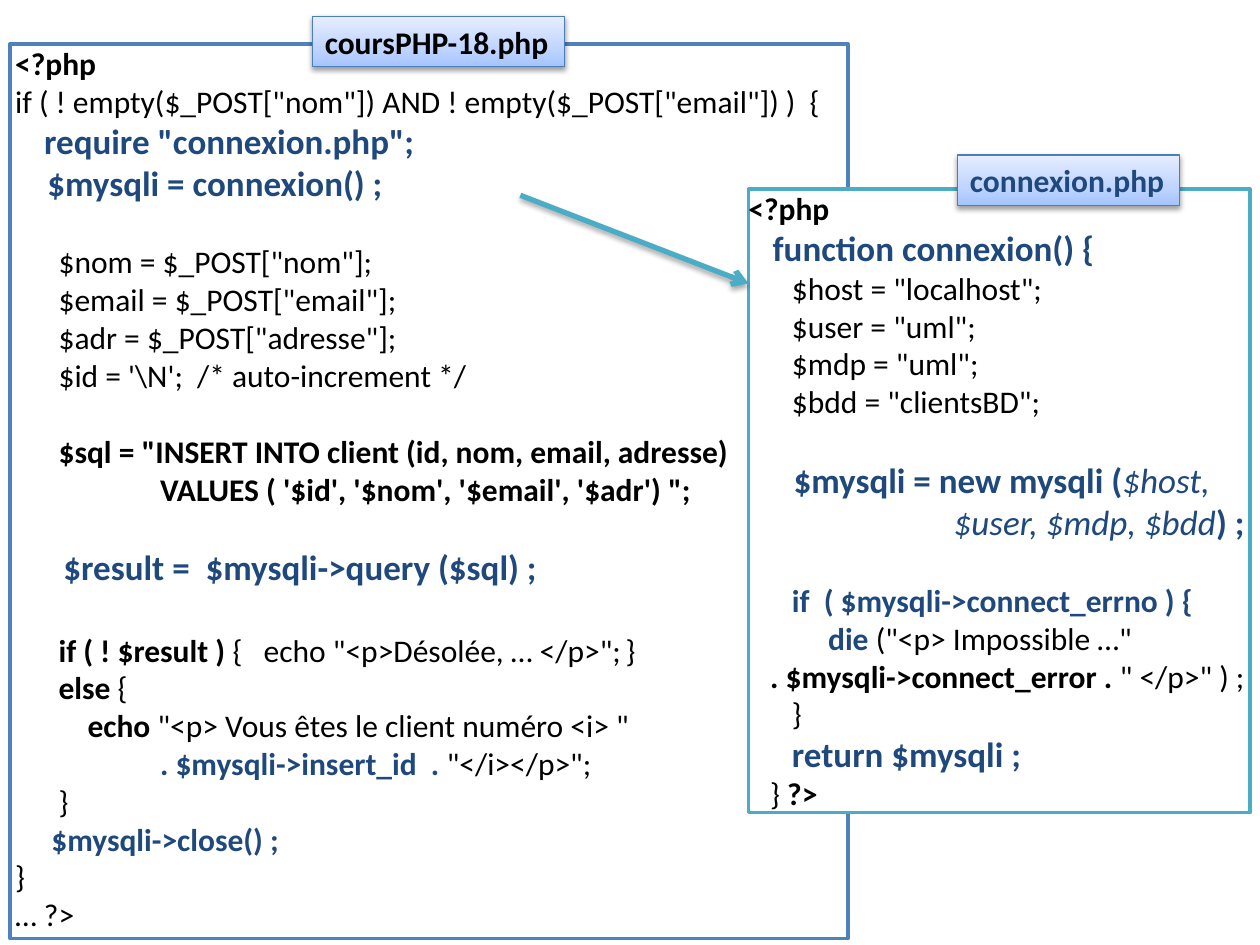
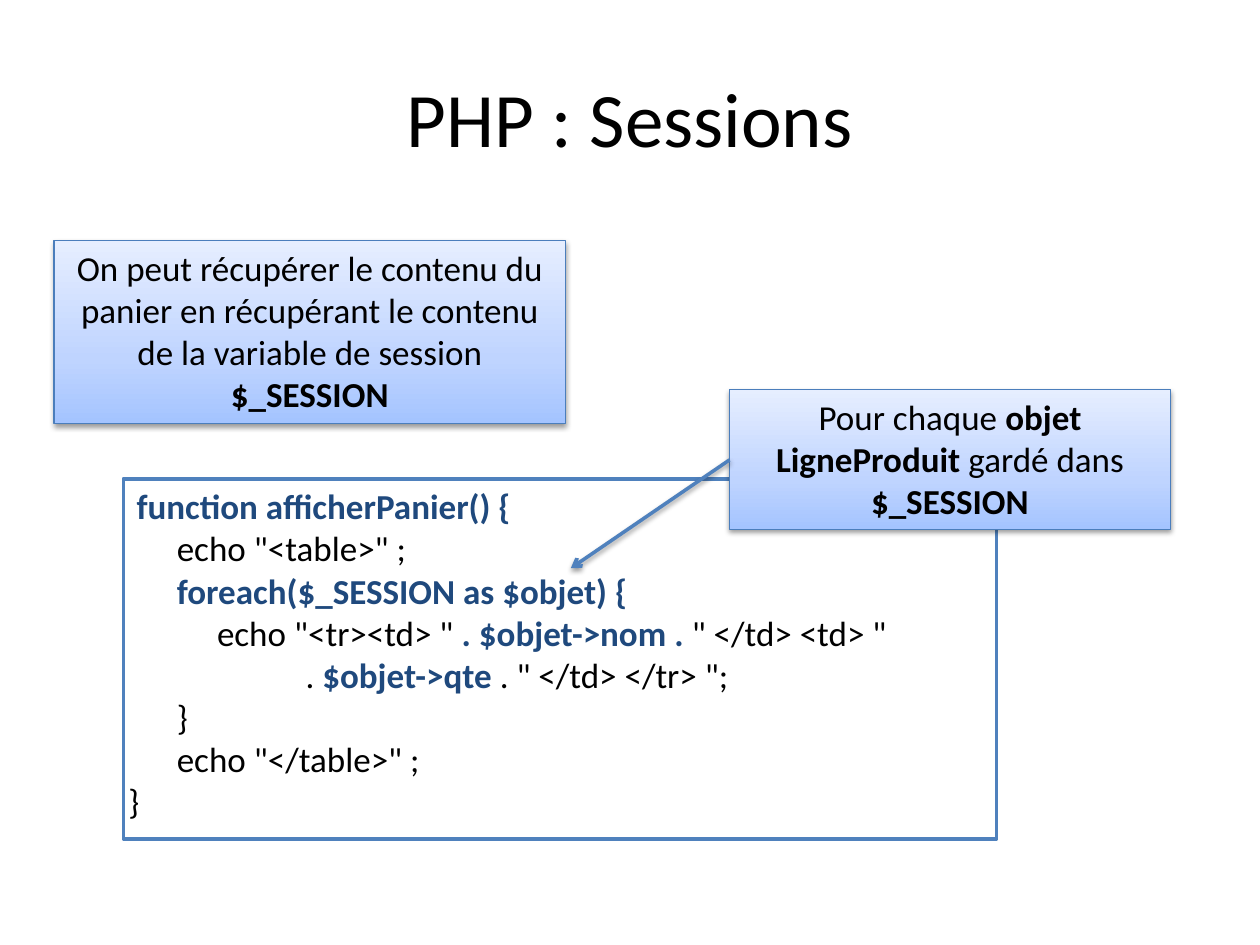
from copy import deepcopy
from dataclasses import dataclass

from lxml.etree import SubElement
from pptx import Presentation
from pptx.dml.color import RGBColor
from pptx.enum.shapes import MSO_CONNECTOR as Connector, MSO_SHAPE as Shape
from pptx.enum.text import MSO_ANCHOR as Anchor, PP_ALIGN as Align
from pptx.oxml.ns import qn
from pptx.util import Inches, Pt

BLACK = RGBColor(0x00, 0x00, 0x00)
WHITE = RGBColor(0xFF, 0xFF, 0xFF)
NAVY = RGBColor(0x1F, 0x49, 0x7D)
BLUE = RGBColor(0x4F, 0x81, 0xBD)
TEAL = RGBColor(0x4B, 0xAC, 0xC6)
EDGE = RGBColor(0x4B, 0x7E, 0xBC)
GRADIENT = (
    (0, RGBColor(0xA4, 0xC4, 0xFF)),
    (0.35, RGBColor(0xBF, 0xD4, 0xFF)),
    (1, RGBColor(0xE6, 0xEE, 0xFF)),
)
FONT = "Calibri"
COLUMNS, ROWS = 100, 75
SPACE_WIDTH, LINE_HEIGHT = 0.23, 1.22
TIGHT = (0.4, 0.5, 0.4, 0.5)
LABEL = (1, 0.5, 1, 0.5)


@dataclass
class Line:
    indent: float
    runs: tuple
    size: int = 18
    blank_above: int = 0
    tab: float = 0


def plain(text):
    return text, BLACK, False, False


def bold(text):
    return text, BLACK, True, False


def key(text):
    return text, NAVY, True, False


def slanted(text):
    return text, NAVY, False, True


def code(indent, *runs, **options):
    return Line(indent, runs, **options)


class Deck:
    def __init__(self):
        self.presentation = Presentation()
        self.presentation.slide_width = Inches(10)
        self.presentation.slide_height = Inches(7.5)
        self.slide = None

    def x(self, columns):
        return round(self.presentation.slide_width * columns / COLUMNS)

    def y(self, rows):
        return round(self.presentation.slide_height * rows / ROWS)

    def frame(self, left, top, width, height):
        return self.x(left), self.y(top), self.x(width), self.y(height)

    def add_slide(self, layout):
        layouts = self.presentation.slide_layouts
        self.slide = self.presentation.slides.add_slide(layouts.get_by_name(layout))

    def title(self, text):
        title = self.slide.shapes.title
        title.left, title.top, title.width, title.height = self.frame(5, 3, 90, 12.5)
        title.text_frame.vertical_anchor = Anchor.MIDDLE
        self.set_lines(title.text_frame, [code(0, plain(text), size=44)], Align.CENTER)

    def style(self, font, color, is_bold, is_italic):
        font.color.rgb = color
        font.bold = is_bold
        font.italic = is_italic

    def set_lines(self, text_frame, lines, align):
        for number, line in enumerate(lines):
            paragraph = text_frame.add_paragraph() if number else text_frame.paragraphs[0]
            paragraph.alignment = align
            paragraph.font.name = FONT
            paragraph.font.size = Pt(line.size)
            if line.blank_above:
                paragraph.space_before = Pt(line.blank_above * LINE_HEIGHT)
            properties = paragraph._p.get_or_add_pPr()
            properties.set("marL", str(Pt(line.indent * SPACE_WIDTH * line.size)))
            properties.set("indent", "0")
            if line.tab:
                stops = SubElement(properties, qn("a:tabLst"))
                SubElement(stops, qn("a:tab"), pos=str(self.x(line.tab)), algn="l")
                properties.insert(properties.index(stops) - 1, stops)
            for text, *look in line.runs:
                run = paragraph.add_run()
                run.text = text
                self.style(paragraph.font if len(line.runs) == 1 else run.font, *look)

    def box(self, frame, lines, color, weight=2, insets=TIGHT, align=Align.LEFT, wrap=True):
        shape = self.slide.shapes.add_shape(Shape.RECTANGLE, *self.frame(*frame))
        shape.shadow.inherit = False
        shape.fill.solid()
        shape.fill.fore_color.rgb = WHITE
        shape.line.color.rgb = color
        shape.line.width = Pt(weight)
        text_frame = shape.text_frame
        text_frame.word_wrap = wrap
        text_frame.vertical_anchor = Anchor.TOP
        left, top, right, bottom = insets
        text_frame.margin_left, text_frame.margin_right = self.x(left), self.x(right)
        text_frame.margin_top, text_frame.margin_bottom = self.y(top), self.y(bottom)
        self.set_lines(text_frame, lines, align)
        return shape

    def note(self, frame, line, **options):
        shape = self.box(frame, [line], EDGE, 0.75, **options)
        shape.fill.gradient()
        shape.fill.gradient_angle = 90
        stop_list = shape._element.spPr.find(qn("a:gradFill")).find(qn("a:gsLst"))
        stop_list.append(deepcopy(stop_list[0]))
        for stop, (position, color) in zip(shape.fill.gradient_stops, GRADIENT):
            stop.position = position
            stop.color.rgb = color
        self.shadow(shape, 38, 1.6)

    def tag(self, frame, run):
        self.note(frame, code(0, run), insets=LABEL, wrap=False)

    def callout(self, frame, *runs):
        self.note(frame, code(0, *runs, size=20), align=Align.CENTER)

    def shadow(self, shape, opacity, distance):
        properties = shape._element.spPr
        effects = properties.find(qn("a:effectLst"))
        if effects is None:
            effects = SubElement(properties, qn("a:effectLst"))
        outer = SubElement(effects, qn("a:outerShdw"), blurRad=str(Pt(3.1)),
                           dist=str(Pt(distance)), dir="5400000", rotWithShape="0")
        color = SubElement(outer, qn("a:srgbClr"), val=str(BLACK))
        SubElement(color, qn("a:alpha"), val=str(opacity * 1000))

    def arrow(self, start, end, color, weight, opacity, distance):
        connector = self.slide.shapes.add_connector(
            Connector.STRAIGHT, self.x(start[0]), self.y(start[1]), self.x(end[0]), self.y(end[1]))
        connector.line.color.rgb = color
        connector.line.width = Pt(weight)
        outline = connector._element.spPr.find(qn("a:ln"))
        SubElement(outline, qn("a:tailEnd"), type="arrow")
        self.shadow(connector, opacity, distance)


FORM_SCRIPT = [
    code(0, bold("<?php")),
    code(0, plain('if ( ! empty($_POST["nom"]) AND ! empty($_POST["email"]) )  {')),
    code(3.6, key('require "connexion.php";'), size=20),
    code(4, key("$mysqli = connexion() ;"), size=20),
    code(6, plain('$nom = $_POST["nom"];'), blank_above=18),
    code(6, plain('$email = $_POST["email"];')),
    code(6, plain('$adr = $_POST["adresse"];')),
    code(6, plain("$id = '\\N';  /* auto-increment */")),
    code(6, bold('$sql = "INSERT INTO client (id, nom, email, adresse)'), blank_above=18),
    code(20, bold("VALUES ( '$id', '$nom', '$email', '$adr') \";")),
    code(6, key("$result =  $mysqli->query ($sql) ;"), size=20, blank_above=18),
    code(6, bold("if ( ! $result ) "), plain('{   echo "<p>Désolée, … </p>";\t}'),
         blank_above=20, tab=51.5),
    code(6, bold("else"), plain(" {")),
    code(10, bold("echo"), plain(' "<p> Vous êtes le client numéro <i> "')),
    code(20, key(". $mysqli->insert_id  . "), plain('"</i></p>";')),
    code(6, plain("}")),
    code(5, key("$mysqli->close() ;")),
    code(0, plain("}")),
    code(0, plain("… ?>")),
]

CONNECTION_SCRIPT = [
    code(0, bold("<?php")),
    code(3, key("function connexion() {"), size=20),
    code(6, plain('$host = "localhost";')),
    code(6, plain('$user = "uml";')),
    code(6, plain('$mdp = "uml";')),
    code(6, plain('$bdd = "clientsBD";')),
    code(5.6, key("$mysqli = new mysqli ("), slanted("$host,"), size=20, blank_above=18),
    code(25.5, slanted("$user, $mdp, $bdd"), key(") ;"), size=20),
    code(6, key("if  ( $mysqli->connect_errno ) {"), blank_above=18),
    code(11, key("die "), plain('("<p> Impossible …"')),
    code(3, bold(". $mysqli->connect_error . "), plain('" </p>" ) ;')),
    code(6, plain("}")),
    code(5.4, key("return $mysqli ;"), size=20),
    code(3, plain("} "), bold("?>")),
]

BASKET_FUNCTION = [
    code(1, key("function afficherPanier() {"), size=20),
    code(6, plain('echo "<table>" ;'), size=20),
    code(6, key("foreach($_SESSION as $objet) {"), size=20),
    code(11, plain('echo "<tr><td> " '), key(". $objet->nom . "), plain('" </td> <td> "'), size=20),
    code(22, plain(". "), key("$objet->qte "), plain('. " </td> </tr> ";'), size=20),
    code(6, plain("}"), size=20),
    code(6, plain('echo "</table>" ;'), size=20),
    code(0, plain("}"), size=20),
]


def connection_slide(deck):
    deck.add_slide("Blank")
    deck.box((0.8, 3.5, 66.5, 71), FORM_SCRIPT, BLUE, insets=(0.4, 0, 0, 0))
    deck.box((59.4, 15, 39.8, 49.5), CONNECTION_SCRIPT, TEAL, insets=(0, 0, 0, 0))
    deck.arrow((41.3, 15.5), (59.4, 22.5), TEAL, 3, 35, 1.8)
    deck.tag((24.8, 1.3, 20, 4), bold("coursPHP-18.php"))
    deck.tag((76, 12.3, 17.6, 4), key("connexion.php"))


def session_slide(deck):
    deck.add_slide("Title Only")
    deck.title("PHP : Sessions")
    deck.box((9.8, 38, 69.3, 28.6), BASKET_FUNCTION, BLUE)
    deck.callout((4.3, 19.1, 40.6, 14.5),
                 plain("On peut récupérer le contenu du panier en récupérant le contenu "
                       "de la variable de session "), bold("$_SESSION"))
    deck.callout((57.9, 30.9, 35, 11.1), plain("Pour chaque "), bold("objet LigneProduit "),
                 plain("gardé dans "), bold("$_SESSION"))
    deck.arrow((57.9, 36.5), (45.3, 45.1), BLUE, 2, 38, 1.6)


def main():
    deck = Deck()
    connection_slide(deck)
    session_slide(deck)
    deck.presentation.save("out.pptx")


if __name__ == "__main__":
    main()
